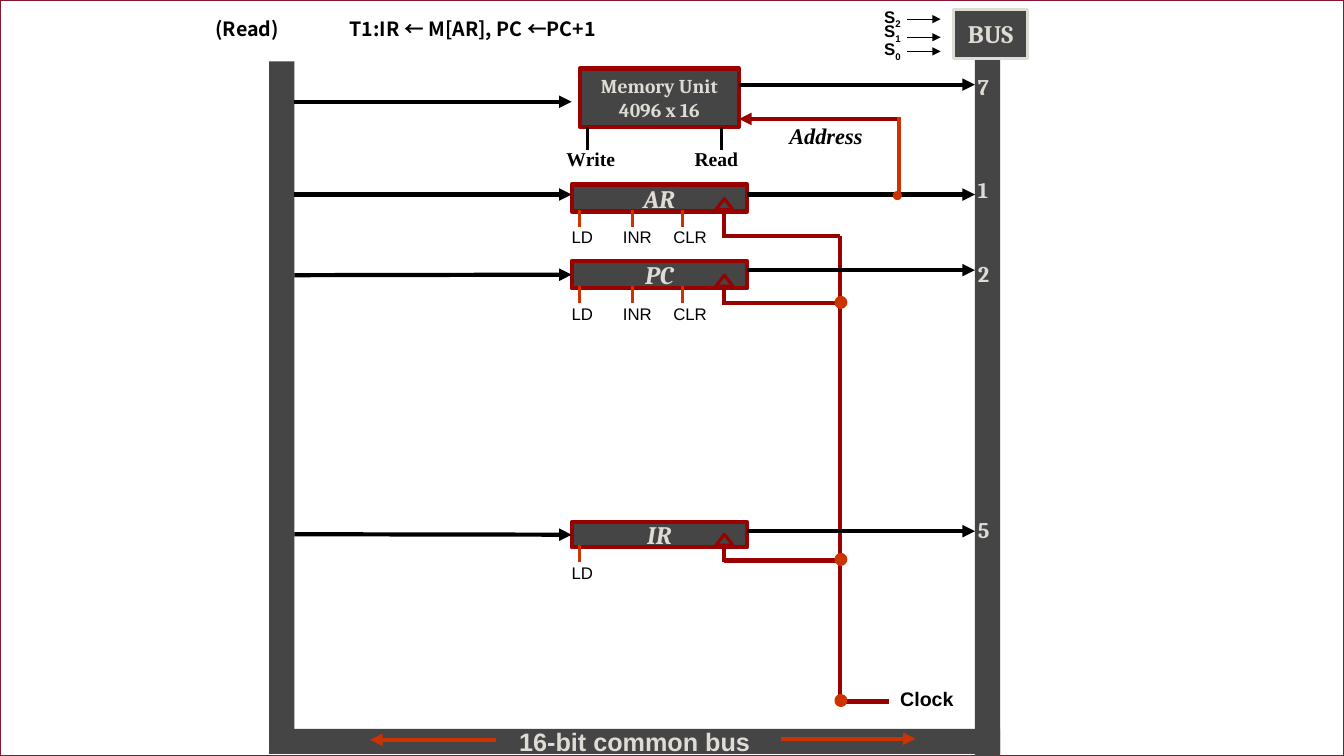
from pptx import Presentation
from pptx.dml.color import RGBColor
from pptx.enum.shapes import MSO_CONNECTOR, MSO_SHAPE
from pptx.enum.text import MSO_ANCHOR, MSO_AUTO_SIZE, PP_ALIGN
from pptx.oxml.ns import qn
from pptx.util import Inches, Pt
from lxml import etree

RECTANGLE, OVAL = MSO_SHAPE.RECTANGLE, MSO_SHAPE.OVAL
TRIANGLE = MSO_SHAPE.ISOSCELES_TRIANGLE
STRAIGHT = MSO_CONNECTOR.STRAIGHT
CENTER, LEFT = PP_ALIGN.CENTER, PP_ALIGN.LEFT
MIDDLE, TOP = MSO_ANCHOR.MIDDLE, MSO_ANCHOR.TOP
FIT = MSO_AUTO_SIZE.SHAPE_TO_FIT_TEXT

WIDTH, HEIGHT = 13.33, 7.5
BLACK, WHITE, GRAY, PALE = "000000", "FFFFFF", "454545", "DFDBD5"
RED, ORANGE, FRAME = "990000", "CC3300", "871631"

BUS_LEFT, BUS_RIGHT, BUS_WIDTH = 2.67, 9.67, 0.25
REGISTER_LEFT, REGISTER_WIDTH = 5.67, 1.74
REGISTER_RIGHT = REGISTER_LEFT + REGISTER_WIDTH
PIN, CLOCK_X, CLOCK_END = 7.18, 8.33, 6.96
MEMORY = (5.75, 0.68, 1.58, 0.58)
MEMORY_RIGHT = MEMORY[0] + MEMORY[2]

BOLD = {"bold": True}
SLANTED = {"bold": True, "italic": True}
CONTROLS = [("LD", 5.75, 5.57, 0.41), ("INR", 6.27, 6.08, 0.49), ("CLR", 6.77, 6.58, 0.53)]
REGISTERS = [
    {"name": "AR", "top": 1.83, "height": 0.27, "input": 1.93, "output": 1.93,
     "controls": 3, "clock": 2.34, "dot": False},
    {"name": "PC", "top": 2.59, "height": 0.27, "input": 2.73, "output": 2.68,
     "controls": 3, "clock": 3.01, "dot": True},
    {"name": "IR", "top": 5.18, "height": 0.25, "input": 5.3, "output": 5.27,
     "controls": 1, "clock": 5.56, "dot": True},
]
BUS_NUMBERS = [("7", 0.68), ("1", 1.7), ("2", 2.53), ("5", 5.07)]
SELECTORS = [("2", 0.02, 0.19), ("1", 0.16, 0.37), ("0", 0.34, 0.51)]
LABELS = [
    ("Write", (5.52, 1.41, 0.69, 0.33), 14, "Times New Roman", BOLD),
    ("Read", (6.79, 1.41, 0.63, 0.33), 14, "Times New Roman", BOLD),
    ("Address", (7.73, 1.16, 0.93, 0.37), 16, "Times New Roman", SLANTED),
    ("Clock", (8.83, 6.77, 0.73, 0.33), 14, "Arial", BOLD),
]
LINES = [
    ((7.75, 7.33), (9.08, 7.33), ORANGE, 3, "tailEnd"),
    ((4.92, 7.34), (3.67, 7.34), ORANGE, 3, "tailEnd"),
    ((MEMORY_RIGHT, 0.84), (BUS_RIGHT, 0.84), BLACK, 3, "tailEnd"),
    ((MEMORY_RIGHT, 1.18), (8.92, 1.18), RED, 3, "headEnd"),
    ((BUS_LEFT + BUS_WIDTH, 1.01), (REGISTER_LEFT, 1.01), BLACK, 3, "tailEnd"),
    ((5.83, 1.49), (5.83, 1.26), BLACK, 2.25, None),
    ((7.16, 1.49), (7.16, 1.26), BLACK, 2.25, None),
    ((CLOCK_X, 2.34), (CLOCK_X, CLOCK_END), RED, 3, None),
    ((CLOCK_X, CLOCK_END), (8.82, CLOCK_END), RED, 3, None),
]

presentation = Presentation()
presentation.slide_width, presentation.slide_height = Inches(WIDTH), Inches(HEIGHT)
slide = presentation.slides.add_slide(presentation.slide_layouts[6])


def color(value):
    """Turn a hex string into a colour."""
    return RGBColor.from_string(value)


def add_run(paragraph, text, size, font, text_color, style):
    """Add a formatted run to a paragraph."""
    run = paragraph.add_run()
    run.text = text
    values = {"size": Pt(size), "name": font, **style}
    for name, value in values.items():
        setattr(run.font, name, value)
    run.font.color.rgb = color(text_color)
    return run


def write(shape, text, size, font, text_color, style, align, anchor):
    """Fill a shape with unwrapped lines of text."""
    frame = shape.text_frame
    frame.word_wrap = False
    frame.vertical_anchor = anchor
    for index, line in enumerate(text.split("\n")):
        paragraph = frame.add_paragraph() if index else frame.paragraphs[0]
        paragraph.alignment = align
        add_run(paragraph, line, size, font, text_color, style)


def add_box(kind, place, fill=None, line=None, weight=1):
    """Add a preset shape with its fill and line."""
    shape = slide.shapes.add_shape(kind, *map(Inches, place))
    shape.shadow.inherit = False
    if fill:
        shape.fill.solid()
        shape.fill.fore_color.rgb = color(fill)
    else:
        shape.fill.background()
    if line:
        shape.line.color.rgb = color(line)
        shape.line.width = Pt(weight)
    else:
        shape.line.fill.background()
    return shape


def add_label(text, place, size, font, text_color=BLACK, style=BOLD):
    """Add a text box that fits its text and return its paragraph."""
    box = slide.shapes.add_textbox(*map(Inches, place))
    write(box, text, size, font, text_color, style, LEFT, TOP)
    box.text_frame.auto_size = FIT
    return box.text_frame.paragraphs[0]


def add_line(start, end, line_color, weight, arrow=None):
    """Add a straight connector with an optional arrowhead."""
    connector = slide.shapes.add_connector(STRAIGHT, *map(Inches, start + end))
    connector.line.color.rgb = color(line_color)
    connector.line.width = Pt(weight)
    properties = connector.element.spPr
    if arrow:
        etree.SubElement(properties.find(qn("a:ln")), qn("a:" + arrow), type="triangle")
    etree.SubElement(properties, qn("a:effectLst"))
    return connector


def add_dot(x, y, weight=3.5):
    """Add a junction dot centred on a point."""
    add_box(OVAL, (x - 0.04, y - 0.04, 0.08, 0.08), ORANGE, ORANGE, weight)


def add_register(register):
    """Add a register with its bus lines, controls and clock pin."""
    top, height, clock = register["top"], register["height"], register["clock"]
    bottom = top + height
    box = add_box(RECTANGLE, (REGISTER_LEFT, top, REGISTER_WIDTH, height), GRAY, RED, 3)
    write(box, register["name"], 18, "Cambria", PALE, SLANTED, CENTER, MIDDLE)
    level = register["input"]
    arrow = add_line((BUS_LEFT + BUS_WIDTH, level), (REGISTER_LEFT, level), BLACK, 3, "tailEnd")
    if abs(level - top - height / 2) < 0.01:
        arrow.end_connect(box, 1)
    level = register["output"]
    add_line((REGISTER_RIGHT, level), (BUS_RIGHT, level), BLACK, 3, "tailEnd")
    for name, x, left, width in CONTROLS[:register["controls"]]:
        add_line((x, bottom + 0.15), (x, bottom - 0.02), ORANGE, 2.25)
        add_label(name, (left, bottom + 0.1, width, 0.3), 12, "Arial", style={})
    add_box(TRIANGLE, (PIN - 0.08, bottom - 0.13, 0.17, 0.11), None, RED, 2.25)
    add_line((PIN, bottom), (PIN, clock + 0.02), RED, 3)
    add_line((PIN, clock), (CLOCK_X, clock), RED, 3)
    if register["dot"]:
        add_dot(CLOCK_X + 0.01, clock - 0.01)


def main():
    """Build the common bus slide."""
    add_box(RECTANGLE, (0, 0, WIDTH, HEIGHT), WHITE, FRAME, 1.25)
    title = add_label("(Read)\tT1:IR ← M[AR], PC ←PC+1", (2.04, 0.12, 4.1, 0.34),
                      14, "Noto Sans CJK KR")
    tabs = etree.SubElement(title._p.get_or_add_pPr(), qn("a:tabLst"))
    etree.SubElement(tabs, qn("a:tab"), pos=str(Inches(1.33)), algn="l")

    memory = add_box(RECTANGLE, MEMORY, GRAY, RED, 3)
    write(memory, "Memory Unit\n4096 x 16", 14, "Cambria", PALE, BOLD, CENTER, MIDDLE)
    add_box(RECTANGLE, (BUS_LEFT, 0.61, BUS_WIDTH, 6.75), GRAY)
    add_box(RECTANGLE, (BUS_RIGHT, 0.59, BUS_WIDTH, 6.91), GRAY)
    floor = add_box(RECTANGLE, (BUS_LEFT, 7.23, 7.25, BUS_WIDTH), GRAY)
    write(floor, "16-bit common bus", 18, "Arial", PALE, BOLD, CENTER, MIDDLE)
    bus = add_box(RECTANGLE, (9.46, 0.09, 0.73, 0.49), GRAY, PALE, 2.25)
    write(bus, "BUS", 18, "Cambria", PALE, BOLD, CENTER, MIDDLE)

    for line in LINES:
        add_line(*line)
    for text, place, size, font, style in LABELS:
        add_label(text, place, size, font, style=style)
    for register in REGISTERS:
        add_register(register)
    add_dot(8.9, 1.94, 0.75)
    add_line((8.92, 1.91), (8.92, 1.16), ORANGE, 3)
    add_dot(CLOCK_X + 0.01, CLOCK_END - 0.01)
    for number, top in BUS_NUMBERS:
        add_label(number, (9.6, top, 0.31, 0.37), 16, "Cambria", PALE)
    for number, top, level in SELECTORS:
        paragraph = add_label("S", (8.67, top, 0.38, 0.3), 12, "Arial")
        run = add_run(paragraph, number, 12, "Arial", BLACK, BOLD)
        run.font._element.set("baseline", "-25000")
        add_line((9, level), (9.33, level), BLACK, 0.75, "tailEnd")
    presentation.save("out.pptx")


if __name__ == "__main__":
    main()
